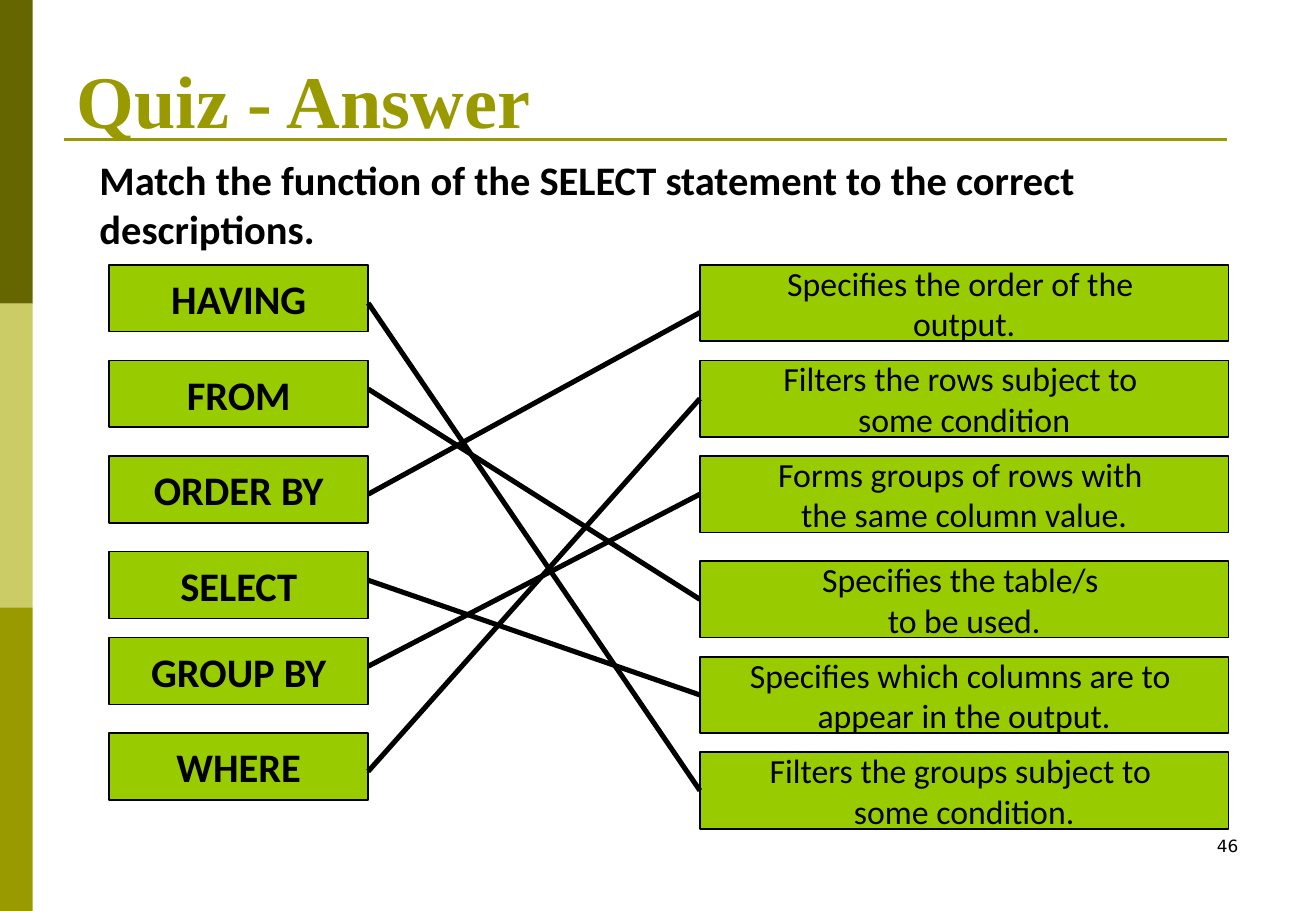
from dataclasses import dataclass

from lxml import etree
from pptx import Presentation
from pptx.dml.color import RGBColor
from pptx.enum.shapes import MSO_CONNECTOR, MSO_SHAPE
from pptx.enum.text import MSO_ANCHOR, MSO_AUTO_SIZE, PP_ALIGN
from pptx.oxml.ns import qn
from pptx.util import Inches, Pt

RECT, STRAIGHT = MSO_SHAPE.RECTANGLE, MSO_CONNECTOR.STRAIGHT
LEFT, CENTER, RIGHT = PP_ALIGN.LEFT, PP_ALIGN.CENTER, PP_ALIGN.RIGHT
TOP, MIDDLE, BOTTOM = MSO_ANCHOR.TOP, MSO_ANCHOR.MIDDLE, MSO_ANCHOR.BOTTOM
LEFT_SIDE = 1


@dataclass(frozen=True)
class Theme:
    bands: tuple = ("666600", "CCCC66", "999900")
    accent: str = "999900"
    box: str = "99CC00"
    ink: str = "000000"
    title_font: str = "Times New Roman"
    body_font: str = "Calibri"
    number_font: str = "DejaVu Sans"
    title_size: int = 44
    keyword_size: int = 24
    answer_size: int = 20
    number_size: int = 10


THEME = Theme()
WIDTH, HEIGHT = 10.83, 7.5
BAND_WIDTH = 0.27

# The boxes sit on rows of a fine grid that starts at GRID_TOP.
GRID_TOP, ROW = 2.18, 0.0787
KEYWORD_X, KEYWORD_WIDTH, KEYWORD_ROWS = 0.9, 2.13, 7
ANSWER_X, ANSWER_WIDTH, ANSWER_ROWS = 5.76, 4.35, 8

# keyword: (row of its box, row where its line starts)
KEYWORDS = {
    "HAVING": (0, 4),
    "FROM": (10, 13),
    "ORDER BY": (20, 24),
    "SELECT": (30, 33),
    "GROUP BY": (39, 42),
    "WHERE": (49, 53),
}
# (row of its box, row where its line ends, matching keyword, text lines)
ANSWERS = [
    (0, 5, "ORDER BY", ("Specifies the order of the ", "output.")),
    (10, 14, "WHERE", ("Filters the rows subject to ", "some condition")),
    (20, 24, "GROUP BY", ("Forms groups of rows with ", "the same column value.")),
    (31, 35, "FROM", ("Specifies the table/s ", "to be used.")),
    (41, 45, "SELECT", ("Specifies which columns are to ", "appear in the output.")),
    (51, 55, "HAVING", ("Filters the groups subject to ", "some condition.")),
]


def rgb(color):
    return RGBColor.from_string(color)


def row_y(row):
    return GRID_TOP + row * ROW


def write(tf, lines, font, size, color=THEME.ink, bold=False,
          align=LEFT, anchor=TOP, wrap=True):
    """Fill a text frame with one paragraph per line."""
    tf.word_wrap = wrap
    tf.auto_size = MSO_AUTO_SIZE.NONE
    tf.vertical_anchor = anchor
    for i, line in enumerate(lines):
        p = tf.paragraphs[0] if i == 0 else tf.add_paragraph()
        p.alignment = align
        r = p.add_run()
        r.text = line
        r.font.name, r.font.size, r.font.bold = font, Pt(size), bold
        r.font.color.rgb = rgb(color)


def add_rect(s, x, y, w, h, fill, outline=None):
    sp = s.shapes.add_shape(RECT, *map(Inches, (x, y, w, h)))
    sp.shadow.inherit = False
    sp.fill.solid()
    sp.fill.fore_color.rgb = rgb(fill)
    if outline:
        sp.line.color.rgb = rgb(outline)
        sp.line.width = Pt(1)
    else:
        sp.line.fill.background()
    return sp


def add_box(s, x, row, w, rows, lines, size, bold=False):
    sp = add_rect(s, x, row_y(row), w, rows * ROW, THEME.box, THEME.ink)
    write(sp.text_frame, lines, THEME.body_font, size, bold=bold,
          align=CENTER, anchor=MIDDLE, wrap=False)
    return sp


def add_line(s, x1, y1, x2, y2, color, width):
    line = s.shapes.add_connector(STRAIGHT, *map(Inches, (x1, y1, x2, y2)))
    line.line.color.rgb = rgb(color)
    line.line.width = Pt(width)
    etree.SubElement(line._element.spPr, qn("a:effectLst"))
    return line


def add_text(s, x, y, w, h, text, font, size, **style):
    box = s.shapes.add_textbox(*map(Inches, (x, y, w, h)))
    write(box.text_frame, [text], font, size, **style)


def add_title(s, text):
    title = s.shapes.title
    title.left, title.top, title.width, title.height = map(
        Inches, (0.53, 0.28, 9.75, 0.95))
    write(title.text_frame, [text], THEME.title_font, THEME.title_size,
          color=THEME.accent, bold=True, anchor=BOTTOM)


def add_frame(s):
    """Draw the side bands and the rule under the title."""
    band_height = HEIGHT / len(THEME.bands)
    for i, color in enumerate(THEME.bands):
        add_rect(s, 0, i * band_height, BAND_WIDTH, band_height, color)
    add_line(s, 0.53, 1.15, 10.1, 1.15, THEME.accent, 1.5)


def add_matches(s):
    for keyword, (row, _) in KEYWORDS.items():
        add_box(s, KEYWORD_X, row, KEYWORD_WIDTH, KEYWORD_ROWS, [keyword],
                THEME.keyword_size, bold=True)
    boxes = [add_box(s, ANSWER_X, row, ANSWER_WIDTH, ANSWER_ROWS, lines,
                     THEME.answer_size)
             for row, _, _, lines in ANSWERS]
    for box, (row, end_row, keyword, _) in zip(boxes, ANSWERS):
        start_row = KEYWORDS[keyword][1]
        line = add_line(s, KEYWORD_X + KEYWORD_WIDTH, row_y(start_row),
                        ANSWER_X, row_y(end_row), THEME.ink, 3)
        if end_row - row == ANSWER_ROWS / 2:
            line.end_connect(box, LEFT_SIDE)


def main():
    prs = Presentation()
    prs.slide_width, prs.slide_height = Inches(WIDTH), Inches(HEIGHT)
    s = prs.slides.add_slide(prs.slide_layouts[5])
    add_frame(s)
    add_title(s, "Quiz - Answer")
    add_text(s, 0.72, 1.23, 9.81, 0.9,
             "Match the function of the SELECT statement to the correct descriptions.",
             THEME.body_font, THEME.keyword_size, bold=True)
    add_matches(s)
    add_text(s, 7.76, 6.83, 2.53, 0.5, "46", THEME.number_font,
             THEME.number_size, align=RIGHT)
    prs.save("out.pptx")


if __name__ == "__main__":
    main()
